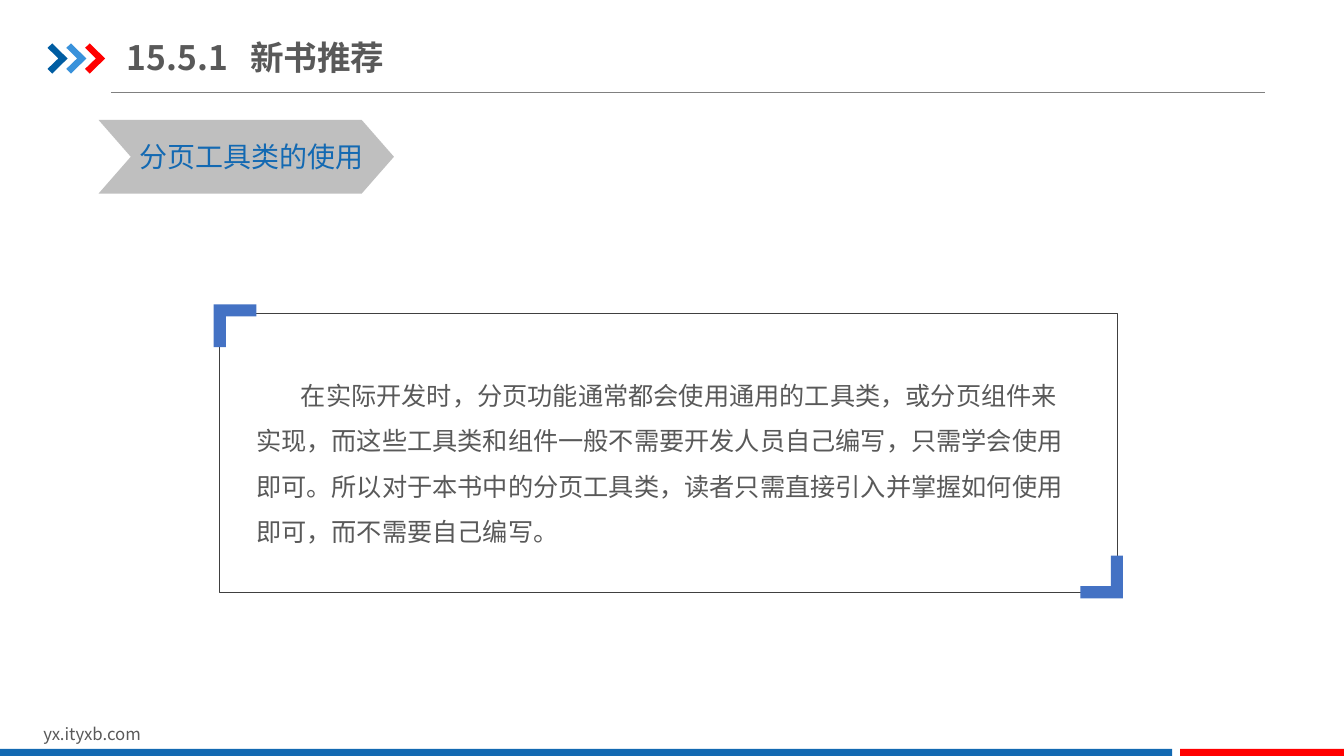
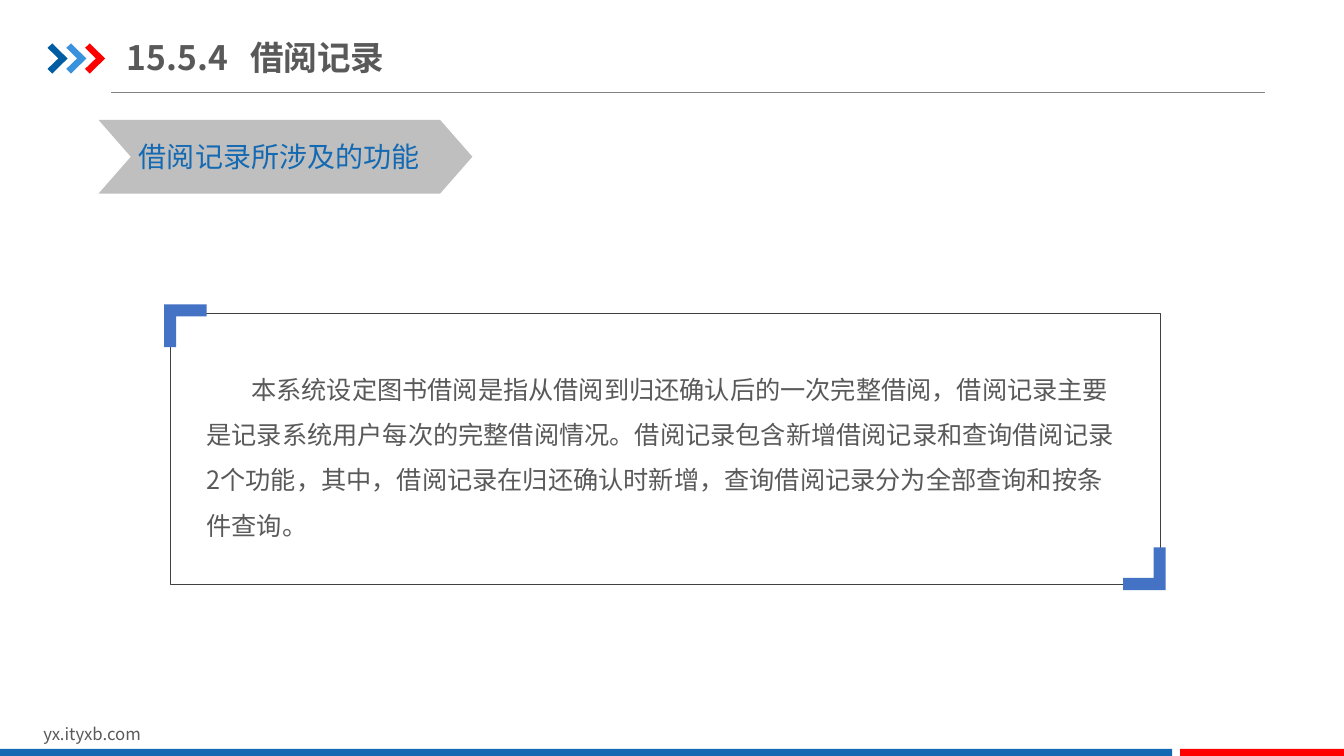
from lxml.etree import SubElement
from pptx import Presentation
from pptx.dml.color import RGBColor
from pptx.enum.shapes import MSO_CONNECTOR, MSO_SHAPE
from pptx.enum.text import MSO_ANCHOR, MSO_AUTO_SIZE, PP_ALIGN
from pptx.oxml.ns import qn
from pptx.util import Pt

FONT = "Noto Sans CJK SC"
BLUE, RED, TEXT = "1369B2", "FF0000", "595959"
HEADING_SIZE = 20
CORNER_SIZE, CORNER_BAND = 30.4, 8.6
FRAME_TOP = 224

PAGES = [
    {
        "title": "15.5.1\t新书推荐",
        "heading": "分页工具类的使用",
        "banner_width": 211,
        "frame": (156.7, 641.5, 199.4),
        "body_top": 257.2,
        "body": "在实际开发时，分页功能通常都会使用通用的工具类，或分页组件来实现，"
                "而这些工具类和组件一般不需要开发人员自己编写，只需学会使用即可。"
                "所以对于本书中的分页工具类，读者只需直接引入并掌握如何使用即可，"
                "而不需要自己编写。",
    },
    {
        "title": "15.5.4\t借阅记录",
        "heading": "借阅记录所涉及的功能",
        "banner_width": 267,
        "frame": (121.2, 707.5, 193.5),
        "body_top": 252.7,
        "body": "本系统设定图书借阅是指从借阅到归还确认后的一次完整借阅，"
                "借阅记录主要是记录系统用户每次的完整借阅情况。"
                "借阅记录包含新增借阅记录和查询借阅记录2个功能，其中，"
                "借阅记录在归还确认时新增，查询借阅记录分为全部查询和按条件查询。",
    },
]


def paint(shape, fill=None, line=None, weight=0.25):
    """Set fill and outline, leaving out whichever has no colour."""
    shape.shadow.inherit = False
    if fill:
        shape.fill.solid()
        shape.fill.fore_color.rgb = RGBColor.from_string(fill)
    else:
        shape.fill.background()
    if line:
        shape.line.color.rgb = RGBColor.from_string(line)
        shape.line.width = Pt(weight)
    else:
        shape.line.fill.background()


def write(box, text, size, color=TEXT, bold=False, indent=0, tab=None, spacing=None):
    box.text_frame.word_wrap = True
    para = box.text_frame.paragraphs[0]
    para.alignment = PP_ALIGN.LEFT
    properties = para._p.get_or_add_pPr()
    if indent:
        properties.set("indent", str(Pt(indent)))
    if tab:
        tabs = SubElement(properties, qn("a:tabLst"))
        SubElement(tabs, qn("a:tab"), pos=str(Pt(tab)), algn="l")
    if spacing:
        para.line_spacing = spacing
    span = para.add_run()
    span.text = text
    span.font.size = Pt(size)
    span.font.bold = bold
    span.font.color.rgb = RGBColor.from_string(color)
    span.font.name = FONT
    SubElement(span._r.get_or_add_rPr(), qn("a:ea"), typeface=FONT)


deck = Presentation()
deck.slide_width, deck.slide_height = Pt(960), Pt(540)

for content in PAGES:
    page = deck.slides.add_slide(deck.slide_layouts[5])
    shapes = page.shapes

    # Title and its rule
    title = shapes.title
    title.left, title.top, title.width, title.height = Pt(90.7), Pt(21), Pt(211), Pt(39.6)
    title.text_frame.margin_left = title.text_frame.margin_right = 0
    title.text_frame.vertical_anchor = MSO_ANCHOR.MIDDLE
    title.text_frame.auto_size = MSO_AUTO_SIZE.NONE
    write(title, content["title"], 24, bold=True, tab=88)

    rule = shapes.add_connector(MSO_CONNECTOR.STRAIGHT, Pt(79.2), Pt(65.8), Pt(903.6), Pt(65.8))
    rule.line.color.rgb = RGBColor.from_string("808080")
    rule.line.width = Pt(0.5)
    SubElement(rule._element.spPr, qn("a:effectLst"))

    # Footer
    address = shapes.add_textbox(Pt(23.8), Pt(513.4), Pt(229), Pt(21.6))
    write(address, "yx.ityxb.com", 12)
    for left, right, color in [(0, 837.2, BLUE), (843, 960, RED)]:
        band = shapes.add_shape(MSO_SHAPE.RECTANGLE, Pt(left), Pt(535), Pt(right - left), Pt(5))
        paint(band, color)

    # Heading on its banner, in a box as wide as its characters plus the margins
    banner = shapes.add_shape(
        MSO_SHAPE.CHEVRON, Pt(70.4), Pt(85.7), Pt(content["banner_width"]), Pt(52.6))
    banner.adjustments[0] = 0.438
    paint(banner, "BFBFBF")
    heading_width = HEADING_SIZE * len(content["heading"]) + 24
    heading = shapes.add_textbox(Pt(92.2), Pt(95.8), Pt(heading_width), Pt(31.5))
    write(heading, content["heading"], HEADING_SIZE, color=BLUE)

    # Framed body text
    left, width, height = content["frame"]
    frame = shapes.add_shape(
        MSO_SHAPE.RECTANGLE, Pt(left), Pt(FRAME_TOP), Pt(width), Pt(height))
    paint(frame, line="404040")
    body = shapes.add_textbox(Pt(left + 19.2), Pt(content["body_top"]), Pt(width - 38), Pt(142))
    write(body, content["body"], 18, indent=32, spacing=1.5)

    # Title arrows and frame corners
    outlines = []
    for index, color in enumerate(["005DA2", "3992DB", RED]):
        arrow = [(0, 3.2), (3.4, 0), (14.3, 10.8), (3.4, 21.6), (0, 18.2), (7.7, 10.8)]
        outlines.append((color, [(34 + 13.4 * index + x, 31 + y) for x, y in arrow]))
    corners = [(left - 4, FRAME_TOP - 6.5, 1), (left + width + 4, FRAME_TOP + height + 4, -1)]
    for corner_x, corner_y, direction in corners:
        bracket = [(0, 0), (CORNER_SIZE, 0), (CORNER_SIZE, CORNER_BAND),
                   (CORNER_BAND, CORNER_BAND), (CORNER_BAND, CORNER_SIZE), (0, CORNER_SIZE)]
        outlines.append(
            ("4472C4", [(corner_x + direction * x, corner_y + direction * y) for x, y in bracket]))
    for color, points in outlines:
        start, *others = [(Pt(x), Pt(y)) for x, y in points]
        builder = shapes.build_freeform(*start)
        builder.add_line_segments(others, close=True)
        paint(builder.convert_to_shape(), color)

deck.save("out.pptx")
